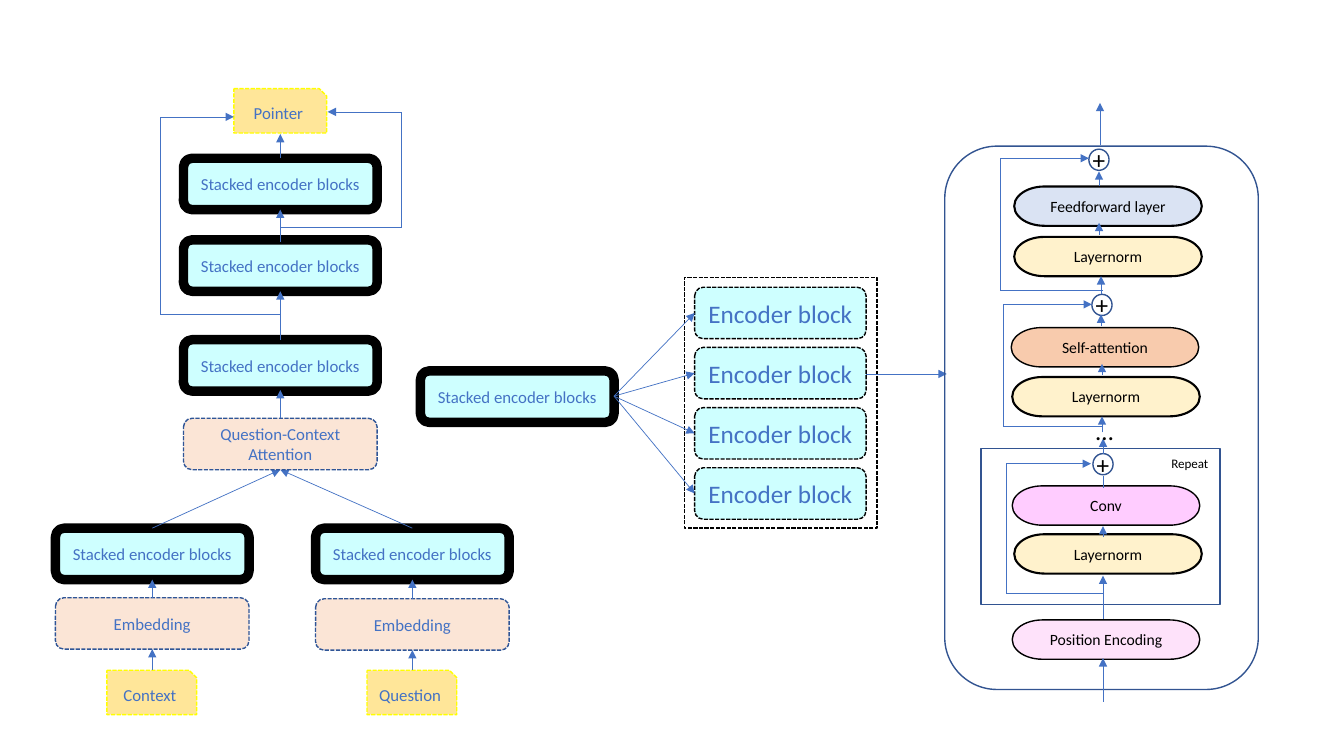
from lxml import etree
from pptx import Presentation
from pptx.dml.color import RGBColor
from pptx.enum.dml import MSO_LINE
from pptx.enum.shapes import MSO_CONNECTOR, MSO_SHAPE
from pptx.enum.text import MSO_ANCHOR, PP_ALIGN
from pptx.oxml.ns import qn
from pptx.util import Inches, Pt

COLORS = {
    "blue": "4472C4", "navy": "325491", "edge": "2F5597", "black": "000000",
    "cyan": "CEFFFF", "peach": "FBE5D6", "gold": "FFE699", "yellow": "FFFF00",
    "cream": "FFF2CC", "ice": "DAE3F3", "orange": "F8CBAD", "pink": "FFCCFF",
    "rose": "FEE2FA",
}
FONT = "Calibri"
CELL = 0.1  # inches per grid column and row


def grid(cells):
    return Inches(cells * CELL)


def rgb(name):
    return RGBColor.from_string(COLORS[name])


class Diagram:
    """Draws on one slide; every length is in grid columns and rows."""

    def __init__(self, slide):
        self.shapes = slide.shapes

    def set_text(self, frame, text, size, color, align):
        frame.text = text
        paragraph = frame.paragraphs[0]
        paragraph.alignment = align
        paragraph.font.name = FONT
        paragraph.font.size = Pt(size)
        paragraph.font.color.rgb = rgb(color)

    def box(self, kind, col, row, cols, rows, text="", fill=None, line="black",
            weight=1, dashed=False, size=12, color="blue", wrap=True):
        shape = self.shapes.add_shape(kind, *map(grid, (col, row, cols, rows)))
        shape.shadow.inherit = False
        if fill:
            shape.fill.solid()
            shape.fill.fore_color.rgb = rgb(fill)
        else:
            shape.fill.background()
        shape.line.color.rgb = rgb(line)
        shape.line.width = Pt(weight)
        if dashed:
            shape.line.dash_style = MSO_LINE.SQUARE_DOT
        if text:
            frame = shape.text_frame
            frame.word_wrap = wrap
            frame.vertical_anchor = MSO_ANCHOR.MIDDLE
            frame.margin_left = frame.margin_right = grid(0.5)
            frame.margin_top = frame.margin_bottom = 0
            self.set_text(frame, text, size, color, PP_ALIGN.CENTER)

    def stacked(self, col, row):
        self.box(MSO_SHAPE.ROUNDED_RECTANGLE, col, row, 19.2, 5.1,
                 "Stacked encoder blocks", "cyan", weight=6.75)

    def stage(self, col, row, text):
        self.box(MSO_SHAPE.ROUNDED_RECTANGLE, col, row, 19.2, 5.1, text,
                 "peach", "edge", dashed=True)

    def endpoint(self, col, row, cols, text):
        self.box(MSO_SHAPE.SNIP_1_RECTANGLE, col, row, cols, 4.4, text,
                 "gold", "yellow", dashed=True)

    def layer(self, col, row, text, fill, weight):
        self.box(MSO_SHAPE.FLOWCHART_TERMINATOR, col, row, 18.6, 3.9, text,
                 fill, weight=weight, size=11.2, color="black")

    def plus(self, col, row):
        self.box(MSO_SHAPE.FLOWCHART_CONNECTOR, col, row, 2, 2.1, "+",
                 line="navy", size=18, color="black", wrap=False)

    def label(self, col, row, cols, rows, text, size):
        textbox = self.shapes.add_textbox(*map(grid, (col, row, cols, rows)))
        textbox.text_frame.word_wrap = True
        self.set_text(textbox.text_frame, text, size, "black", PP_ALIGN.LEFT)

    def route(self, *points, arrow=True):
        """Join the points with straight lines; the last one bears the arrowhead."""
        for start, end in zip(points, points[1:]):
            segment = self.shapes.add_connector(
                MSO_CONNECTOR.STRAIGHT, *map(grid, start + end))
            segment.line.color.rgb = rgb("blue")
            segment.line.width = Pt(0.5)
            properties = segment.element.spPr
            etree.SubElement(properties, qn("a:effectLst"))
        if arrow:
            etree.SubElement(properties.find(qn("a:ln")), qn("a:tailEnd"), type="triangle")


def draw_network(diagram):
    # Input branches
    attention_in = (27.8, 46.6)
    for col, embedding_row, source in ((5.5, 59.3, "Context"), (31.3, 59.4, "Question")):
        center = col + 9.6
        diagram.stacked(col, 52.4)
        diagram.stage(col, embedding_row, "Embedding")
        diagram.endpoint(col + 5.1, 66.5, 8.9, source)
        diagram.route((center, 66.5), (center, embedding_row + 5.1))
        diagram.route((center, embedding_row), (center, 57.5))
        diagram.route((center, 52.4), attention_in)

    # Attention, encoder stacks and pointer
    for row in (33.7, 23.8, 15.7):
        diagram.stacked(18.2, row)
    diagram.stage(18.2, 41.5, "Question-Context Attention")
    diagram.endpoint(23.2, 8.8, 9.2, "Pointer")
    for tail, head in ((41.5, 38.7), (33.7, 28.9), (23.8, 20.8), (15.7, 13.3)):
        diagram.route((27.8, tail), (27.8, head))
    diagram.route((27.8, 31.2), (15.9, 31.2), (15.9, 11.6), (23.2, 11.6))
    diagram.route((27.8, 24), (27.8, 22.6), (39.8, 22.6), (39.8, 11.1), (32.5, 11.1))


def draw_stack_detail(diagram):
    # One stack opened into its encoder blocks
    diagram.box(MSO_SHAPE.RECTANGLE, 67.9, 27.5, 19.1, 24.9, dashed=True)
    diagram.stacked(41.7, 36.8)
    for block in range(4):
        row = 28.5 + 5.97 * block
        diagram.box(MSO_SHAPE.ROUNDED_RECTANGLE, 68.9, row, 17, 5.1,
                    "Encoder block", "cyan", dashed=True, size=18)
        diagram.route((60.9, 39.3), (68.9, row + 2.55))
    diagram.route((85.9, 37.1), (93.9, 37.1))


def draw_block_detail(diagram):
    # Frames
    diagram.box(MSO_SHAPE.RECTANGLE, 97.3, 44.5, 23.7, 15.5, line="navy")
    diagram.box(MSO_SHAPE.ROUNDED_RECTANGLE, 93.7, 14.5, 31.1, 53.9, line="navy")

    # Layers and sums
    for layer in (
        (100.6, 18.5, "Feedforward layer", "ice", 1.5),
        (100.6, 23.5, "Layernorm", "cream", 1.5),
        (100.3, 32.5, "Self-attention", "orange", 1),
        (100.4, 37.4, "Layernorm", "cream", 1.5),
        (100.4, 48.2, "Conv", "pink", 1),
        (100.6, 53, "Layernorm", "cream", 1.5),
        (100.4, 61.5, "Position Encoding", "rose", 1),
    ):
        diagram.layer(*layer)
    for col, row in ((108.4, 45), (108.3, 29.2), (108, 14.8)):
        diagram.plus(col, row)

    # Upward flow: column, tail row, head row
    for col, tail, head in (
        (109.4, 69.6, 65.3), (109.4, 61.4, 57.1), (109.4, 53.3, 52.2),
        (109.4, 45, 43.5), (109.3, 42.9, 41.3), (109.3, 37.2, 36.1),
        (109.2, 32.3, 31.2), (109.2, 29.2, 27.4), (109, 23.3, 22.1),
        (109, 18.5, 17), (109.1, 14.4, 10.2),
    ):
        diagram.route((col, tail), (col, head))
    diagram.route((109.4, 48.4), (109.4, 47.2), arrow=False)

    # Residual paths: side column, start row, sum column, sum row
    for side, start, sum_col, sum_row in (
        (99.8, 58.9, 108.2, 46), (99.5, 42.3, 108.3, 30.2), (99.2, 28.8, 108, 15.7),
    ):
        diagram.route((109.4, start), (side, start), (side, sum_row), (sum_col, sum_row))

    # Labels
    diagram.label(107.7, 40.7, 2.4, 4, "…", 18)
    diagram.label(115.2, 44.7, 6, 2.3, "Repeat", 9.3)


def main():
    deck = Presentation()
    deck.slide_width, deck.slide_height = Inches(13.33), Inches(7.5)
    diagram = Diagram(deck.slides.add_slide(deck.slide_layouts[6]))
    draw_network(diagram)
    draw_stack_detail(diagram)
    draw_block_detail(diagram)
    deck.save("out.pptx")


if __name__ == "__main__":
    main()
